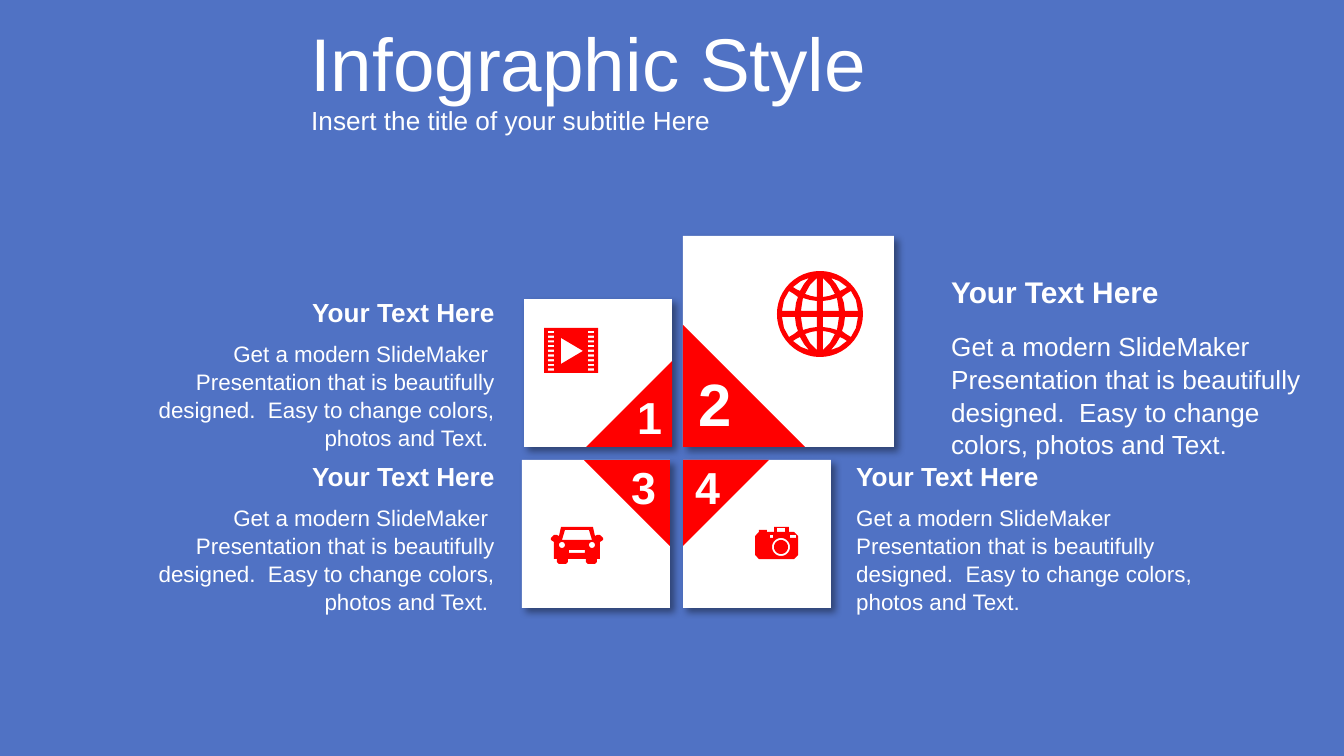
import math

import pptx
import pptx.dml.color
import pptx.enum.shapes
import pptx.enum.text
import pptx.util
from lxml import etree

EMU_PER_PX = 914400 / 134.4
A_NS = "http://schemas.openxmlformats.org/drawingml/2006/main"
SHAPES = pptx.enum.shapes.MSO_SHAPE
LEFT = pptx.enum.text.PP_ALIGN.LEFT
CENTER = pptx.enum.text.PP_ALIGN.CENTER
RIGHT = pptx.enum.text.PP_ALIGN.RIGHT
TOP = pptx.enum.text.MSO_ANCHOR.TOP
MIDDLE = pptx.enum.text.MSO_ANCHOR.MIDDLE

BLUE, WHITE, RED = "5072C4", "FFFFFF", "FF0000"
HEADING = "Your Text Here"
BODY = ("Get a modern SlideMaker  Presentation that is beautifully designed.  "
        "Easy to change colors, photos and Text.")


def px(length):
    return pptx.util.Emu(round(length * EMU_PER_PX))


def color(hex_code):
    return pptx.dml.color.RGBColor.from_string(hex_code)


def box(left, top, right, bottom):
    return [(left, top), (right, top), (right, bottom), (left, bottom)]


def circle(x, y, radius, steps=48):
    angles = [2 * math.pi * step / steps for step in range(steps)]
    return [(x + radius * math.cos(a), y + radius * math.sin(a)) for a in angles]


class SlideBuilder:
    font = "Arial"

    def __init__(self, slide):
        self.slide = slide
        self.shapes = slide.shapes
        slide.background.fill.solid()
        slide.background.fill.fore_color.rgb = color(BLUE)

    def paint(self, shape, fill):
        shape.shadow.inherit = False
        shape.fill.solid()
        shape.fill.fore_color.rgb = color(fill)
        shape.line.fill.background()

    def card(self, x, y, size):
        """Add a white square with a soft shadow to the lower right."""
        square = self.shapes.add_shape(SHAPES.RECTANGLE, px(x), px(y), px(size), px(size))
        self.paint(square, WHITE)
        effects = square._element.spPr.find(f"{{{A_NS}}}effectLst")
        effects.append(etree.fromstring(
            f'<a:outerShdw xmlns:a="{A_NS}" blurRad="50800" dist="38100" dir="2700000" '
            'algn="tl" rotWithShape="0"><a:srgbClr val="000000">'
            '<a:alpha val="40000"/></a:srgbClr></a:outerShdw>'))

    def corner(self, x, y, size, rotation):
        triangle = self.shapes.add_shape(
            SHAPES.RIGHT_TRIANGLE, px(x), px(y), px(size), px(size))
        triangle.rotation = rotation
        self.paint(triangle, RED)

    def icon(self, *contours):
        """Add one red outline; contours inside others become holes."""
        outlines = [[(px(x), px(y)) for x, y in contour] for contour in contours]
        builder = self.shapes.build_freeform(*outlines[0][0], scale=1.0)
        builder.add_line_segments(outlines[0][1:], close=True)
        for outline in outlines[1:]:
            builder.move_to(*outline[0])
            builder.add_line_segments(outline[1:], close=True)
        self.paint(builder.convert_to_shape(), RED)

    def text(self, words, x, y, width, height, size, align=LEFT, bold=False,
             anchor=TOP, spacing=None):
        frame = self.shapes.add_textbox(px(x), px(y), px(width), px(height)).text_frame
        frame.word_wrap = True
        frame.vertical_anchor = anchor
        paragraph = frame.paragraphs[0]
        paragraph.text = words
        paragraph.alignment = align
        paragraph.line_spacing = spacing
        paragraph.font.name = self.font
        paragraph.font.size = pptx.util.Pt(size)
        paragraph.font.bold = bold
        paragraph.font.color.rgb = color(WHITE)

    def caption(self, x, y, align, size, body_offset, body_height):
        """Add a bold heading with a body text two points smaller below it."""
        body = BODY + " " if align == RIGHT else BODY
        self.text(body, x, y + body_offset, 380, body_height, size - 2, align, spacing=1.05)
        self.text(HEADING, x, y, 380, 46, size, align, bold=True)


def film_icon():
    holes = [box(x, 331 + 4.7 * row, x + 6, 333.2 + 4.7 * row)
             for x in (548, 588) for row in range(9)]
    return [box(544, 328, 598, 373), [(561, 338), (583, 351), (561, 364)], *holes]


def globe_icon():
    """Mirror the four openings of one quarter into all quarters."""
    x, y = 820, 314
    openings = [
        [(20, 23), (16, 30), (11, 36), (19, 33), (27, 27), (24, 25)],
        [(3, 17), (3, 36), (10, 29), (15, 20), (9, 18)],
        [(3, 3), (3, 13), (10, 14), (17, 16), (18, 10), (19, 3)],
        [(25, 3), (24, 11), (22, 17), (26, 20), (31, 23), (36, 14), (38, 3)],
    ]
    return [circle(x, y, 43)] + [
        [(x + side * dx, y + rise * dy) for dx, dy in opening]
        for side in (-1, 1) for rise in (-1, 1) for opening in openings]


def car_icon():
    x = 577
    right_half = [(16, 527), (18, 536), (20, 535), (23, 535), (26, 538), (26, 540),
                  (23, 542), (23, 559), (20, 559), (20, 562), (18, 564), (11, 564),
                  (9, 562), (9, 559)]
    body = [(x + dx, y) for dx, y in right_half]
    body += [(x - dx, y) for dx, y in reversed(right_half)]
    window = [(x - 12, 530), (x + 12, 530), (x + 15, 540), (x - 15, 540)]
    lights = [circle(x + dx, 545, 3) for dx in (-15, 15)]
    return [body, window, *lights, box(x - 8, 550, x + 8, 553)]


def camera_icon():
    body = [(755, 536), (759, 532), (759, 530), (767, 530), (767, 532), (774, 532),
            (774, 527), (789, 527), (789, 532), (794, 532), (798, 536), (798, 555),
            (794, 559), (759, 559), (755, 555)]
    return [body, circle(781, 547, 9), circle(781, 547, 7), box(770, 535, 773, 538),
            box(790, 535, 796, 538), box(777, 528, 785, 532)]


def main():
    deck = pptx.Presentation()
    deck.slide_width, deck.slide_height = px(1344), px(756)
    page = SlideBuilder(deck.slides.add_slide(deck.slide_layouts[6]))

    # x, y, size, triangle rotation, triangle at right, triangle at bottom
    cards = [(524, 299, 148, 270, True, True), (683, 236, 211, 0, False, True),
             (522, 460, 148, 180, True, False), (683, 460, 148, 90, False, False)]
    for x, y, size, rotation, at_right, at_bottom in cards:
        leg = round(size * 0.58)
        page.card(x, y, size)
        page.corner(x + at_right * (size - leg), y + at_bottom * (size - leg), leg, rotation)

    for contours in (globe_icon(), film_icon(), camera_icon(), car_icon()):
        page.icon(*contours)

    numbers = [("1", 622, 383, 67, 24), ("2", 685, 360, 86, 32),
               ("3", 616, 453, 67, 24), ("4", 680, 453, 67, 24)]
    for number, x, y, height, size in numbers:
        page.text(number, x, y, 55, height, size, CENTER, bold=True)

    page.caption(128, 290, RIGHT, 14, 42, 122)
    page.caption(938, 267, LEFT, 16, 55, 140)
    page.caption(128, 454, RIGHT, 14, 42, 122)
    page.caption(843, 454, LEFT, 14, 42, 122)

    page.text("Infographic Style", 297, 17, 1047, 89, 40, anchor=MIDDLE)
    page.text("Insert the title of your subtitle Here", 298, 99, 1043, 42, 14, anchor=MIDDLE)

    deck.save("out.pptx")


if __name__ == "__main__":
    main()
